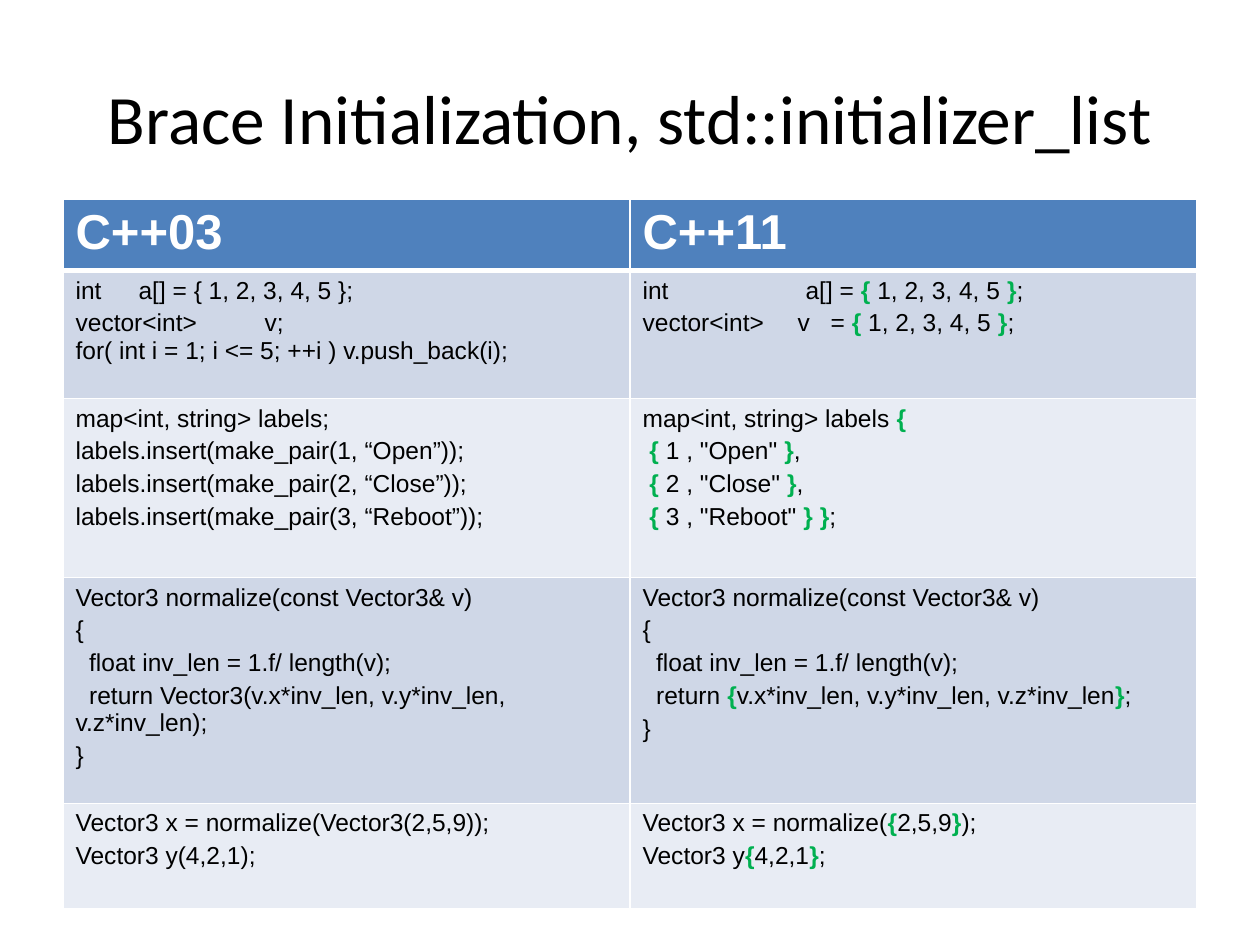
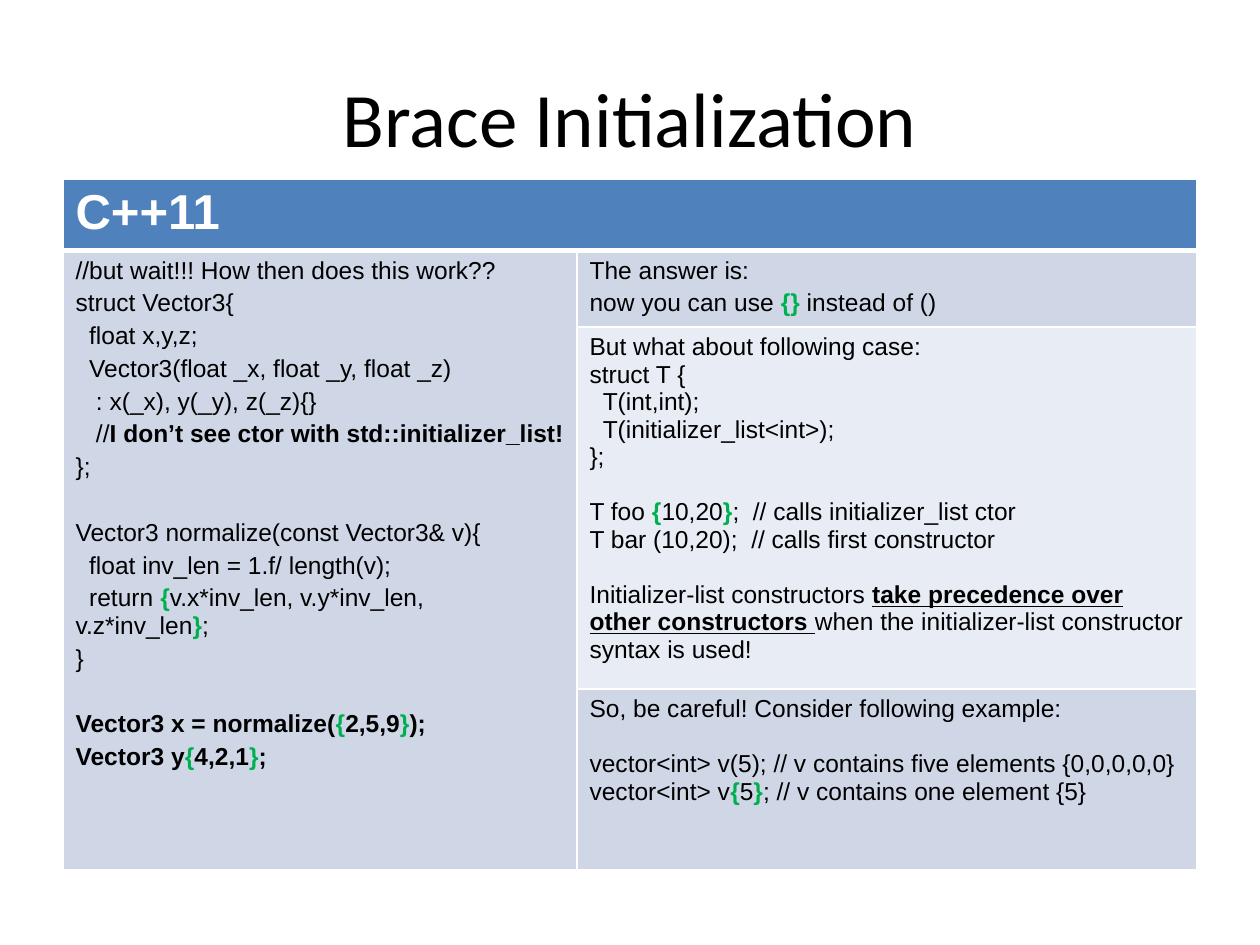
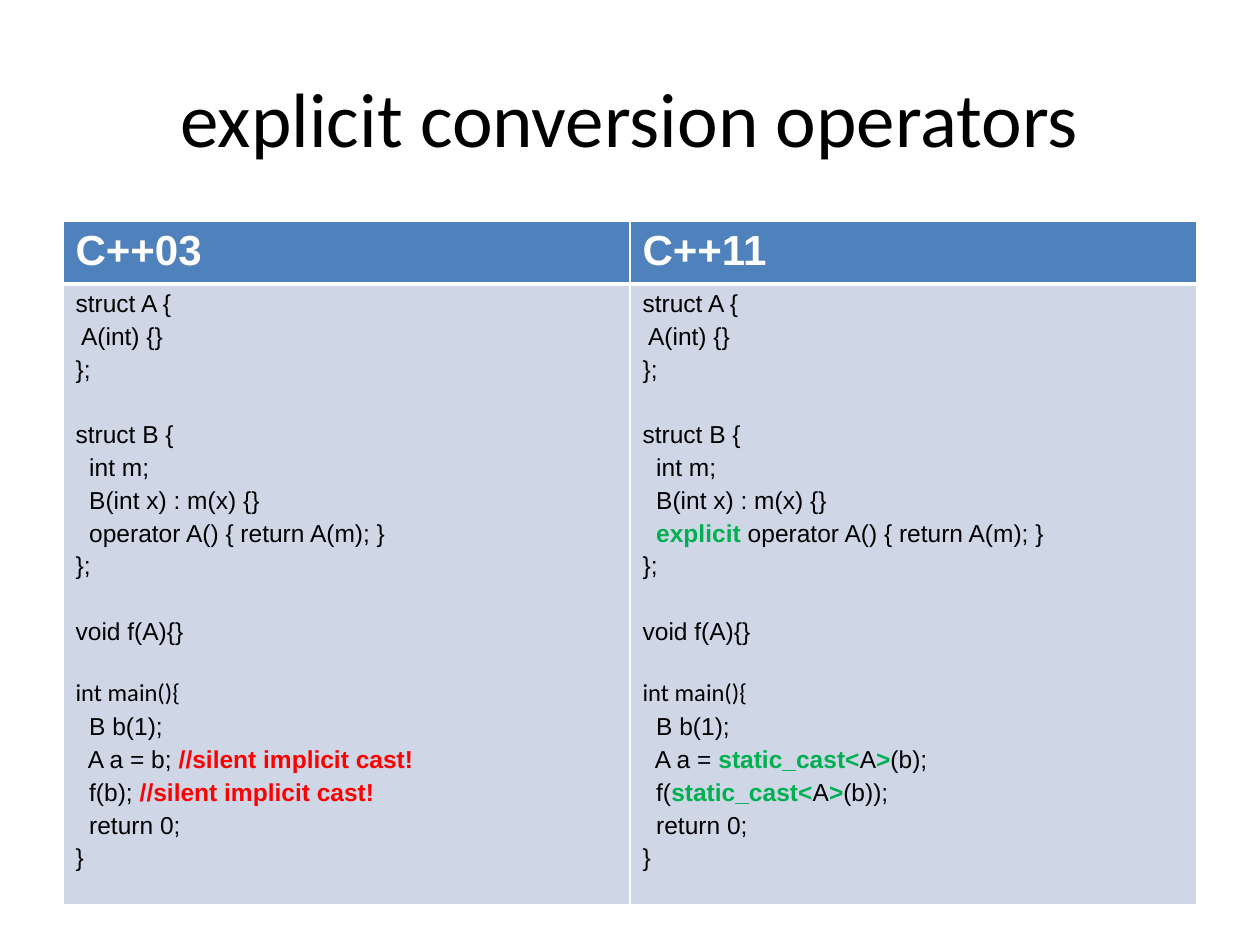
import pptx
import pptx.dml.color
import pptx.enum.text
import pptx.oxml.ns
import pptx.util
from lxml import etree

EMU_PER_PX = 914400 / 126
COLORS = {"ink": "000000", "paper": "FFFFFF", "header": "4F81BD", "band": "CFD7E7",
          "light": "E8ECF4", "new": "00B050", "warning": "FF0000"}

# Markup: "|" plus one key letter starts a piece in that style
# key: colour, bold, underline, font
STYLES = {
    "p": ("ink", False, False, "Arial"),
    "b": ("ink", True, False, "Arial"),
    "u": ("ink", True, True, "Arial"),
    "g": ("new", True, False, "Arial"),
    "r": ("warning", True, False, "Arial"),
    "c": ("ink", False, False, "Calibri"),
    "h": ("paper", True, False, "Arial"),
}
CODE_SIZE = 14
CODE_LINE = 15.7  # height in points of an empty code line


def px(length):
    return pptx.util.Emu(round(length * EMU_PER_PX))


def rgb(name):
    return pptx.dml.color.RGBColor.from_string(COLORS[name])


class Deck:
    def __init__(self):
        self.prs = pptx.Presentation()
        self.prs.slide_width, self.prs.slide_height = px(1260), px(945)
        self.slide = None

    def new_slide(self, title, size=44):
        self.slide = self.prs.slides.add_slide(self.prs.slide_layouts[6])
        frame = self.slide.shapes.add_textbox(px(63), px(38), px(1134), px(158)).text_frame
        frame.word_wrap = True
        frame.vertical_anchor = pptx.enum.text.MSO_ANCHOR.MIDDLE
        frame.text = title
        heading = frame.paragraphs[0]
        heading.alignment = pptx.enum.text.PP_ALIGN.CENTER
        self.format_run(heading.runs[0], "c", size)

    def format_run(self, run, key, size):
        color, bold, underline, font = STYLES[key]
        run.font.name, run.font.size = font, pptx.util.Pt(size)
        run.font.bold, run.font.underline = bold, underline
        run.font.color.rgb = rgb(color)

    def fill_cell(self, cell, text, size=CODE_SIZE, spacing=3):
        """Fill a cell line by line; an empty line becomes space before the next."""
        frame, gap, first = cell.text_frame, 0, True
        for line in text.split("\n"):
            if not line:
                gap = CODE_LINE + spacing
                continue
            paragraph = frame.paragraphs[0] if first else frame.add_paragraph()
            if not first:
                own = 0 if line.startswith("|c") else spacing
                paragraph.space_before = pptx.util.Pt(own + gap)
            plain, *pieces = line.split("|")
            paragraph.text = plain
            for run in paragraph.runs:
                self.format_run(run, "p", size)
            for piece in pieces:
                run = paragraph.add_run()
                run.text = piece[1:]
                self.format_run(run, piece[0], size)
            gap, first = 0, False

    def border(self, cell, row):
        widths = {"lnL": 1, "lnR": 1, "lnT": 3 if row == 1 else 1, "lnB": 3 if row == 0 else 1}
        for side, width in widths.items():
            line = etree.SubElement(cell._tc.get_or_add_tcPr(), pptx.oxml.ns.qn("a:" + side),
                                    w=str(pptx.util.Pt(width)))
            solid = etree.SubElement(line, pptx.oxml.ns.qn("a:solidFill"))
            etree.SubElement(solid, pptx.oxml.ns.qn("a:srgbClr"), val=COLORS["paper"])

    def table(self, top, widths, heights):
        """Add a white-ruled table with a header row and alternating bands."""
        grid = self.slide.shapes.add_table(len(heights), len(widths), px(63), px(top),
                                           px(sum(widths)), px(sum(heights))).table
        grid.horz_banding = False
        for column, width in zip(grid.columns, widths):
            column.width = px(width)
        for r, height in enumerate(heights):
            grid.rows[r].height = px(height)
            for c in range(len(widths)):
                cell = grid.cell(r, c)
                self.border(cell, r)
                cell.fill.solid()
                band = "header" if r == 0 else "band" if r % 2 else "light"
                cell.fill.fore_color.rgb = rgb(band)
        return grid

    def comparison(self, top, heights, rows, header_size):
        """Add a two-column table that sets C++03 against C++11."""
        grid = self.table(top, [567, 567], heights)
        for c, standard in enumerate(["C++03", "C++11"]):
            self.fill_cell(grid.cell(0, c), "|h" + standard, header_size)
        for r, row in enumerate(rows, 1):
            for c, code in enumerate(row):
                self.fill_cell(grid.cell(r, c), code)
        return grid

    def tab_stops(self, paragraph, stops):
        tabs = etree.SubElement(paragraph._p.get_or_add_pPr(), pptx.oxml.ns.qn("a:tabLst"))
        for stop in stops:
            etree.SubElement(tabs, pptx.oxml.ns.qn("a:tab"), pos=str(px(stop)), algn="l")


# Code shared by several cells
BODY = "  float inv_len = 1.f/ length(v);\n  return "
NORMALIZE = "Vector3 normalize(const Vector3& v)"
BRACE_RETURN = BODY + "|g{|pv.x*inv_len, v.y*inv_len, v.z*inv_len|g}|p;\n}"
BRACE_LIST = "|g{|p 1, 2, 3, 4, 5 |g}|p;"

INITIALIZERS = [
    ("int \ta[] = { 1, 2, 3, 4, 5 };\n"
     "vector<int> \tv;\vfor( int i = 1; i <= 5; ++i ) v.push_back(i);",
     f"int\ta[] = {BRACE_LIST}\nvector<int>\tv\t= {BRACE_LIST}"),
    ("""map<int, string> labels;
labels.insert(make_pair(1, “Open”));
labels.insert(make_pair(2, “Close”));
labels.insert(make_pair(3, “Reboot”));""",
     """map<int, string> labels |g{
 |g{ |p1 , "Open" |g}|p,
 |g{|p 2 , "Close" |g}|p,
 |g{|p 3 , "Reboot" |g} }|p;"""),
    (NORMALIZE + "\n{\n" + BODY + "Vector3(v.x*inv_len, v.y*inv_len, v.z*inv_len);\n}",
     NORMALIZE + "\n{\n" + BRACE_RETURN),
    ("Vector3 x = normalize(Vector3(2,5,9));\nVector3 y(4,2,1);",
     "Vector3 x = normalize(|g{|p2,5,9|g}|p);\nVector3 y|g{|p4,2,1|g}|p;"),
]

QUESTION = """//but wait!!! How then does this work??
struct Vector3{
  float x,y,z;
  Vector3(float _x, float _y, float _z)
   : x(_x), y(_y), z(_z){}
   //|bI don’t see ctor with std::initializer_list!
};

""" + NORMALIZE + "{\n" + BRACE_RETURN + """

|bVector3 x = normalize(|g{|b2,5,9|g}|b);
|bVector3 y|g{|b4,2,1|g}|b;"""

ANSWER = "The answer is:\nnow you can use |g{}|p instead of ()"

PRECEDENCE = """But what about following case:
struct T {
  T(int,int);
  T(initializer_list<int>);
};

T foo |g{|p10,20|g}|p;  // calls initializer_list ctor
T bar (10,20);  // calls first constructor

Initializer-list constructors |utake precedence over other constructors |pwhen the \
initializer-list constructor syntax is used!"""

CAUTION = """So, be careful! Consider following example:

vector<int> v(5); // v contains five elements {0,0,0,0,0}
vector<int> v|g{|p5|g}|p; // v contains one element {5}"""


def conversion(operator, assignment, call):
    return f"""struct A {{
 A(int) {{}}
}};

struct B {{
  int m;
  B(int x) : m(x) {{}}
  {operator} A() {{ return A(m); }}
}};

void f(A){{}}

|cint main(){{
  B b(1);
  A a = {assignment}
  f({call}
  return 0;
}}"""


CAST = "|gstatic_cast<|pA|g>|p(b)"
IMPLICIT = "|r//silent implicit cast!"


def main():
    deck = Deck()

    # Brace initialization side by side
    deck.new_slide("Brace Initialization, std::initializer_list", 39.6)
    grid = deck.comparison(199, [67, 128, 179, 226, 105], INITIALIZERS, 28)
    array, vector = grid.cell(1, 1).text_frame.paragraphs
    deck.tab_stops(array, [163])
    deck.tab_stops(vector, [155, 188])

    # Constructor precedence
    deck.new_slide("Brace Initialization")
    grid = deck.table(179, [514, 620], [66, 73, 343, 181])
    grid.cell(0, 0).merge(grid.cell(0, 1))
    grid.cell(1, 0).merge(grid.cell(3, 0))
    deck.fill_cell(grid.cell(0, 0), "|hC++11", 28)
    deck.fill_cell(grid.cell(1, 0), QUESTION)
    deck.fill_cell(grid.cell(1, 1), ANSWER)
    deck.fill_cell(grid.cell(2, 1), PRECEDENCE, spacing=0)
    deck.fill_cell(grid.cell(3, 1), CAUTION, spacing=0)

    # Explicit conversion
    deck.new_slide("explicit conversion operators")
    deck.comparison(221, [63, 593], [
        (conversion("operator", "b; " + IMPLICIT, "b); " + IMPLICIT),
         conversion("|gexplicit|p operator", CAST + ";", CAST + ");")),
    ], 24)

    deck.prs.save("out.pptx")


if __name__ == "__main__":
    main()
